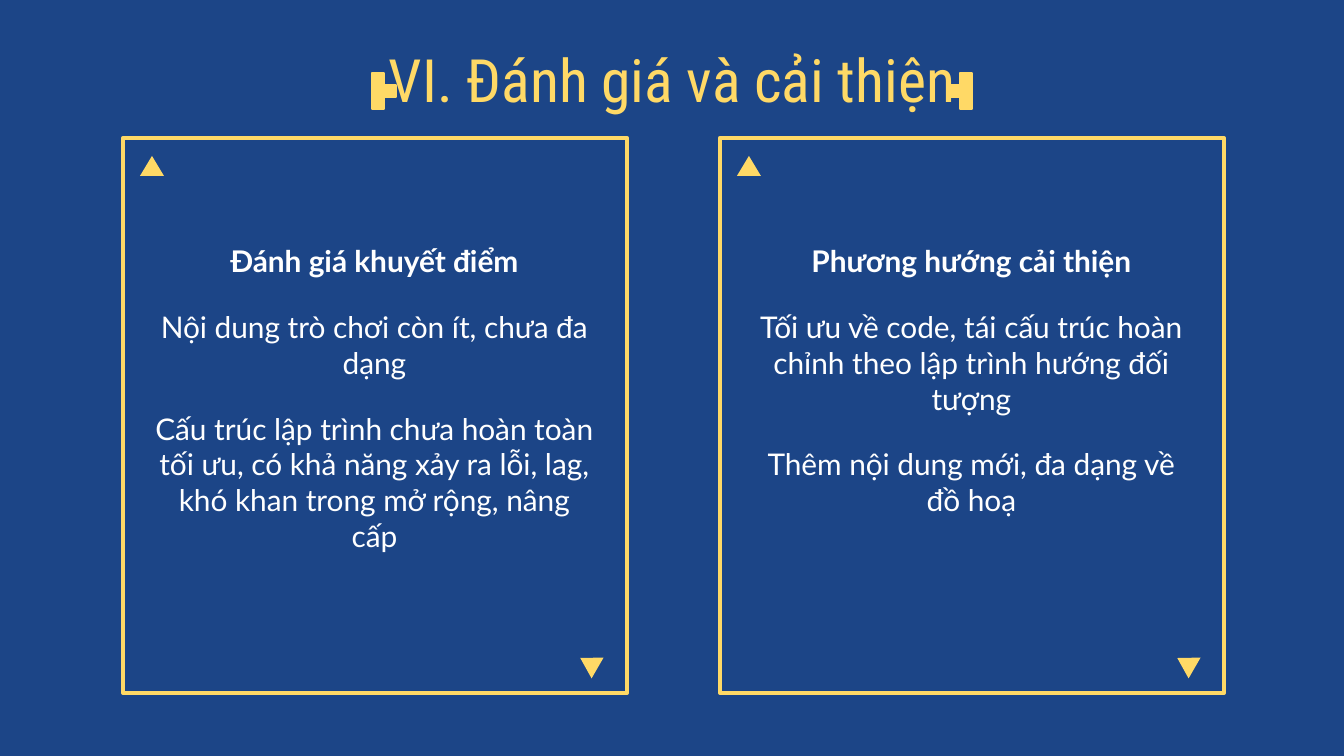
from dataclasses import dataclass

from pptx import Presentation
from pptx.dml.color import RGBColor
from pptx.enum.shapes import MSO_SHAPE as Shape
from pptx.enum.text import MSO_ANCHOR as Anchor, PP_ALIGN as Align
from pptx.util import Emu, Pt

EMU_PER_PX = 914400 / 134.4


def px(n):
    return Emu(round(n * EMU_PER_PX))


@dataclass(frozen=True)
class Theme:
    background: RGBColor = RGBColor(0x1C, 0x45, 0x87)
    accent: RGBColor = RGBColor(0xFF, 0xD9, 0x66)
    text: RGBColor = RGBColor(0xFF, 0xFF, 0xFF)
    title_font: str = "Roboto Condensed"
    body_font: str = "Lato"
    title_size: int = 32
    body_size: int = 16
    frame_width: float = 2.25
    cell_width: float = 0.75


class Deck:
    """Holds the theme and the slide being drawn."""

    def __init__(self, slide, theme):
        self.s = slide
        self.theme = theme
        fill = slide.background.fill
        fill.solid()
        fill.fore_color.rgb = theme.background

    def shape(self, kind, x, y, w, h, filled=True, line=0, rotation=0):
        sp = self.s.shapes.add_shape(kind, px(x), px(y), px(w), px(h))
        sp.shadow.inherit = False
        sp.rotation = rotation
        if filled:
            sp.fill.solid()
            sp.fill.fore_color.rgb = self.theme.accent
        else:
            sp.fill.background()
        if line:
            sp.line.color.rgb = self.theme.accent
            sp.line.width = Pt(line)
        else:
            sp.line.fill.background()

    def text(self, x, y, w, h, lines, font, size, color,
             anchor=Anchor.TOP, bold_first=False, after=0):
        tf = self.s.shapes.add_textbox(px(x), px(y), px(w), px(h)).text_frame
        tf.word_wrap = True
        tf.vertical_anchor = anchor
        tf.margin_left = tf.margin_right = px(13)
        tf.margin_top = tf.margin_bottom = px(13)
        for i, line in enumerate(lines):
            p = tf.paragraphs[0] if i == 0 else tf.add_paragraph()
            p.text = line
            p.alignment = Align.CENTER
            p.space_after = Pt(after)
            p.font.name = font
            p.font.size = Pt(size)
            p.font.color.rgb = color
            p.font.bold = bold_first and i == 0

    def title(self, text):
        t = self.theme
        self.text(46, 43, 1253, 85, [text], t.title_font, t.title_size,
                  t.accent, Anchor.BOTTOM)

    def bracket(self, outer, inner):
        """Three stacked cells with one more beside the middle cell."""
        size, top = 12, 73
        for x, row in ((outer, 0), (outer, 1), (outer, 2), (inner, 1)):
            self.shape(Shape.RECTANGLE, x, top + row * size, size, size,
                       line=self.theme.cell_width)

    def card(self, x, y, lines):
        t = self.theme
        self.shape(Shape.RECTANGLE, x, y, 504, 555, filled=False,
                   line=t.frame_width)
        self.text(x + 17, y + 92, 469, 410, lines, t.body_font, t.body_size,
                  t.text, bold_first=True, after=16)
        triangle = Shape.ISOSCELES_TRIANGLE
        self.shape(triangle, x + 17, y + 18, 24, 20)
        self.shape(triangle, x + 454, y + 515, 24, 20, rotation=300)


CARDS = [
    ["Đánh giá khuyết điểm",
     "Nội dung trò chơi còn ít, chưa đa dạng",
     "Cấu trúc lập trình chưa hoàn toàn tối ưu, có khả năng xảy ra lỗi, "
     "lag, khó khan trong mở rộng, nâng cấp"],
    ["Phương hướng cải thiện",
     "Tối ưu về code, tái cấu trúc hoàn chỉnh theo lập trình hướng đối tượng",
     "Thêm nội dung mới, đa dạng về đồ hoạ"],
]


def main():
    prs = Presentation()
    prs.slide_width, prs.slide_height = px(1344), px(756)
    deck = Deck(prs.slides.add_slide(prs.slide_layouts[6]), Theme())
    deck.title("VI. Đánh giá và cải thiện")
    deck.bracket(outer=372, inner=384)
    deck.bracket(outer=960, inner=948)
    for i, lines in enumerate(CARDS):
        deck.card(123 + i * 597, 138, lines)
    prs.save("out.pptx")


if __name__ == "__main__":
    main()
